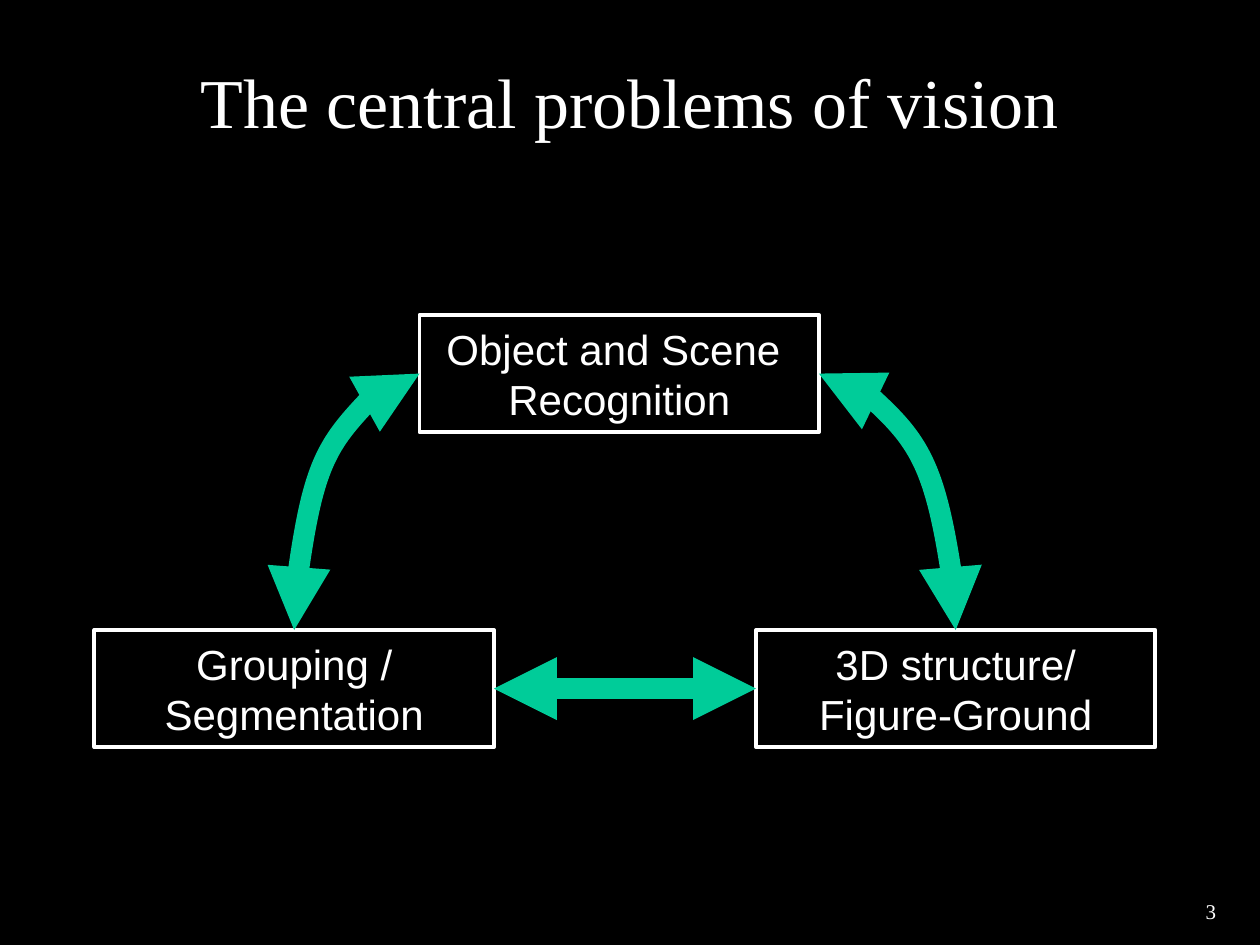
from lxml import etree
from pptx import Presentation
from pptx.dml.color import RGBColor
from pptx.enum.shapes import MSO_CONNECTOR as Connector, MSO_SHAPE as Shape
from pptx.enum.text import MSO_ANCHOR as Anchor, PP_ALIGN as Align
from pptx.oxml.ns import qn
from pptx.util import Inches, Pt

BLACK, WHITE, GREEN = "000000", "FFFFFF", "00CC99"
BOX_WIDTH, BOX_HEIGHT = 3.17, 0.93
LEFT, TOP, RIGHT, BOTTOM = 1, 0, 3, 2


def color(value):
    return RGBColor.from_string(value)


def place(shape, left, top, width, height):
    shape.left, shape.top = Inches(left), Inches(top)
    shape.width, shape.height = Inches(width), Inches(height)


def write(shape, text, font, size, align):
    text_frame = shape.text_frame
    text_frame.word_wrap = True
    text_frame.text = text
    for paragraph in text_frame.paragraphs:
        paragraph.alignment = align
        for run in paragraph.runs:
            run.font.name = font
            run.font.size = Pt(size)
            run.font.color.rgb = color(WHITE)


def add_title(slide, text):
    title = slide.shapes.title
    place(title, 0.75, 0.17, 8.5, 1.25)
    write(title, text, "Times New Roman", 40, Align.CENTER)
    title.text_frame.vertical_anchor = Anchor.MIDDLE


def add_slide_number(slide, number):
    box = slide.shapes.add_textbox(Inches(9.25), Inches(7.08), Inches(0.5), Inches(0.25))
    write(box, number, "Times New Roman", 12, Align.RIGHT)


def add_problem(slide, text, left, top):
    box = slide.shapes.add_shape(
        Shape.RECTANGLE, Inches(left), Inches(top), Inches(BOX_WIDTH), Inches(BOX_HEIGHT)
    )
    box.shadow.inherit = False
    box.fill.background()
    box.line.color.rgb = color(WHITE)
    box.line.width = Pt(2.25)
    write(box, text, "Arial", 24, Align.CENTER)
    box.text_frame.vertical_anchor = Anchor.MIDDLE
    return box


def add_double_arrow(slide, kind, start, start_side, end, end_side):
    arrow = slide.shapes.add_connector(kind, 0, 0, 0, 0)
    arrow.begin_connect(start, start_side)
    arrow.end_connect(end, end_side)
    arrow.line.color.rgb = color(GREEN)
    arrow.line.width = Pt(12)
    properties = arrow.element.spPr
    line = properties.find(qn("a:ln"))
    for tag in ("a:headEnd", "a:tailEnd"):
        etree.SubElement(line, qn(tag), type="triangle")
    etree.SubElement(properties, qn("a:effectLst"))
    if kind == Connector.CURVE:
        properties.find(qn("a:prstGeom")).set("prst", "curvedConnector2")


def main():
    presentation = Presentation()
    presentation.slide_width, presentation.slide_height = Inches(10), Inches(7.5)
    slide = presentation.slides.add_slide(presentation.slide_layouts[5])
    slide.background.fill.solid()
    slide.background.fill.fore_color.rgb = color(BLACK)

    add_slide_number(slide, "3")
    add_title(slide, "The central problems of vision")
    grouping = add_problem(slide, "Grouping /\nSegmentation", 0.75, 5)
    structure = add_problem(slide, "3D structure/\nFigure-Ground", 6, 5)
    recognition = add_problem(slide, "Object and Scene \nRecognition", 3.33, 2.5)

    add_double_arrow(slide, Connector.CURVE, recognition, LEFT, grouping, TOP)
    add_double_arrow(slide, Connector.CURVE, recognition, RIGHT, structure, TOP)
    add_double_arrow(slide, Connector.STRAIGHT, structure, LEFT, grouping, RIGHT)
    presentation.save("out.pptx")


if __name__ == "__main__":
    main()
